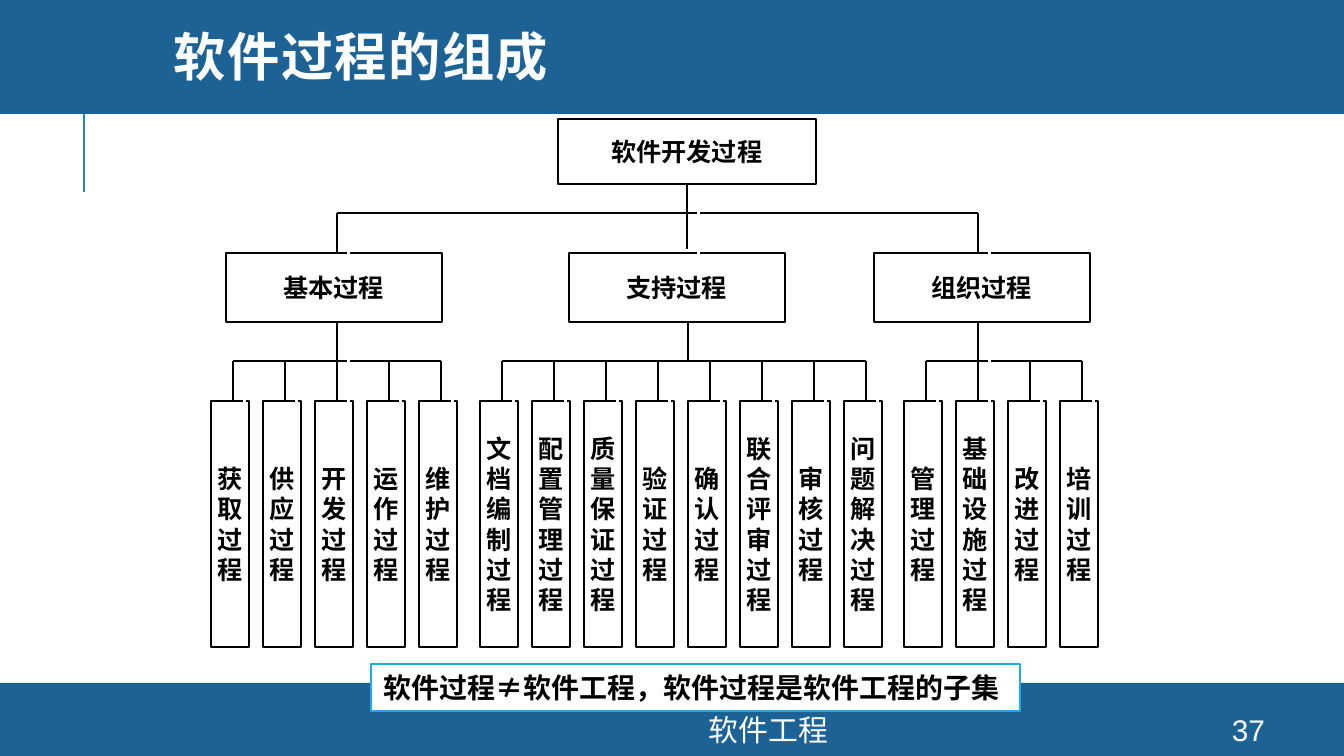
from lxml.etree import SubElement
from pptx import Presentation
from pptx.dml.color import RGBColor
from pptx.enum.lang import MSO_LANGUAGE_ID as LANG
from pptx.enum.shapes import MSO_CONNECTOR, MSO_SHAPE
from pptx.enum.text import MSO_ANCHOR, PP_ALIGN
from pptx.oxml.ns import qn
from pptx.util import Pt

PX = 9144000 / 1344  # EMU per px
COLORS = {"band": "1D6294", "accent": "2683C6", "border": "1CADE4",
          "ink": "000000", "white": "FFFFFF"}


def px(n):
    return round(n * PX)


def rgb(name):
    return RGBColor.from_string(COLORS[name])


class Deck:
    def __init__(self):
        self.prs = Presentation()
        self.prs.slide_width, self.prs.slide_height = px(1344), px(756)
        self.s = self.prs.slides.add_slide(self.prs.slide_layouts[6])

    def rect(self, x, y, w, h, fill=None, line=None, width=1):
        sp = self.s.shapes.add_shape(MSO_SHAPE.RECTANGLE, px(x), px(y), px(w), px(h))
        sp.shadow.inherit = False
        if fill:
            sp.fill.solid()
            sp.fill.fore_color.rgb = rgb(fill)
        else:
            sp.fill.background()
        if line:
            sp.line.color.rgb = rgb(line)
            sp.line.width = Pt(width)
        else:
            sp.line.fill.background()
        return sp

    def put_text(self, sp, lines, size, font, color="ink", bold=False,
                 align=PP_ALIGN.CENTER, inset=(13, 7), wrap=True):
        tf = sp.text_frame
        tf.word_wrap = wrap
        tf.vertical_anchor = MSO_ANCHOR.MIDDLE
        tf.margin_left = tf.margin_right = px(inset[0])
        tf.margin_top = tf.margin_bottom = px(inset[1])
        for i, text in enumerate(lines):
            p = tf.add_paragraph() if i else tf.paragraphs[0]
            p.alignment = align
            r = p.add_run()
            r.text = text
            r.font.size, r.font.name, r.font.bold = Pt(size), font, bold
            r.font.color.rgb = rgb(color)
            r.font.language_id = LANG.SIMPLIFIED_CHINESE
        return tf

    def label(self, x, y, w, h, text, size, font, **style):
        sp = self.s.shapes.add_textbox(px(x), px(y), px(w), px(h))
        return self.put_text(sp, [text], size, font, "white", **style)

    def box(self, x, y, w, h, lines):
        sp = self.rect(x, y, w, h, line="ink")
        self.put_text(sp, lines, 13.5, "Times New Roman", bold=True, inset=(7, 4))
        return sp

    def line(self, x1, y1, x2, y2, color="ink", shadow=False):
        cx = self.s.shapes.add_connector(MSO_CONNECTOR.STRAIGHT,
                                         px(x1), px(y1), px(x2), px(y2))
        cx.line.color.rgb = rgb(color)
        cx.line.width = Pt(1.5)
        effects = SubElement(cx._element.spPr, qn("a:effectLst"))
        if shadow:  # white offset shadow that nicks the lines it crosses
            outer = SubElement(effects, qn("a:outerShdw"), dist=str(Pt(8.5)),
                               dir="2700000", algn="ctr", rotWithShape="0")
            SubElement(outer, qn("a:srgbClr"), val=COLORS["white"])
        return cx


# Tree: name, box left, stem x, first leaf left, leaves
GROUPS = [
    ("基本过程", 226, 337, 211,
     ["获取过程", "供应过程", "开发过程", "运作过程", "维护过程"]),
    ("支持过程", 569, 688, 480,
     ["文档编制过程", "配置管理过程", "质量保证过程", "验证过程", "确认过程",
      "联合评审过程", "审核过程", "问题解决过程"]),
    ("组织过程", 874, 978, 904,
     ["管理过程", "基础设施过程", "改进过程", "培训过程"]),
]
TOP_BUS, GROUP_TOP, GROUP_BOTTOM = 213, 253, 322
LEAF_BUS, LEAF_TOP = 361, 401
PITCH, STEM_DX = 52, 22


def main():
    d = Deck()

    # Frame bands
    d.line(84, 192, 84, 91, "accent")
    d.rect(0, 683, 1344, 73, fill="band")
    d.rect(0, -4, 1344, 118, fill="band")

    # Title and page number
    tf = d.label(161, 0, 1141, 122, "软件过程的组成", 28, "Montserrat",
                 bold=True, align=PP_ALIGN.LEFT)
    tf.paragraphs[0].line_spacing = 0.8
    tf.paragraphs[0].runs[0].font._element.set("spc", "80")
    d.label(1195, 714, 107, 31, "37", 16, "Arial")

    # Root and group boxes
    d.line(GROUPS[0][2], TOP_BUS, GROUPS[-1][2], TOP_BUS)
    root = d.box(558, 119, 258, 65, ["软件开发过程"])
    for name, left, *_ in GROUPS:
        d.box(left, GROUP_TOP, 216, GROUP_BOTTOM - GROUP_TOP, [name])
    for _, _, stem, *_ in (GROUPS[0], GROUPS[-1]):
        d.line(stem, GROUP_TOP, stem, TOP_BUS, shadow=True)
    d.line(687, 184, 687, 249, shadow=True).begin_connect(root, 2)

    # Leaves of each group
    for _, _, stem, first, leaves in GROUPS:
        lefts = [first + i * PITCH for i in range(len(leaves))]
        stems = [x + STEM_DX for x in lefts]
        if stem not in stems:
            d.line(stem, LEAF_BUS, stem, GROUP_BOTTOM, shadow=True)
        d.line(stems[0], LEAF_BUS, stems[-1], LEAF_BUS)
        for x, leaf in zip(lefts, leaves):
            d.box(x, LEAF_TOP, 38, 246, list(leaf))
        for x in stems:
            top = GROUP_BOTTOM if x == stem else LEAF_BUS
            d.line(x, LEAF_TOP, x, top, shadow=True)

    # Conclusion and footer
    note = d.rect(371, 664, 649, 47, fill="white", line="border", width=1.25)
    d.put_text(note, ["软件过程≠软件工程，软件过程是软件工程的子集"], 15,
               "Noto Sans CJK SC", bold=True, align=PP_ALIGN.LEFT, wrap=False)
    d.label(351, 714, 835, 31, "软件工程", 16, "Arial")

    d.prs.save("out.pptx")


if __name__ == "__main__":
    main()
